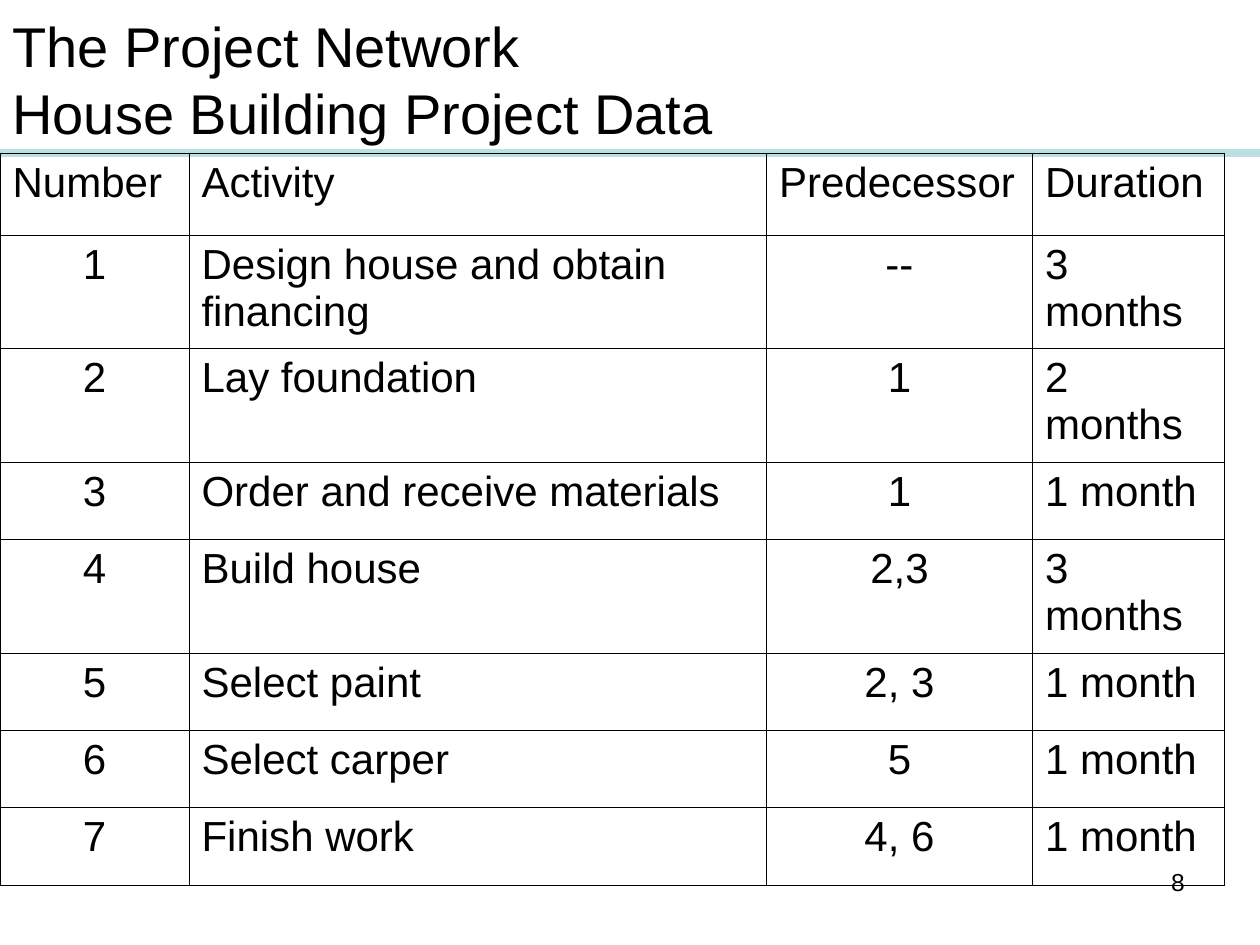
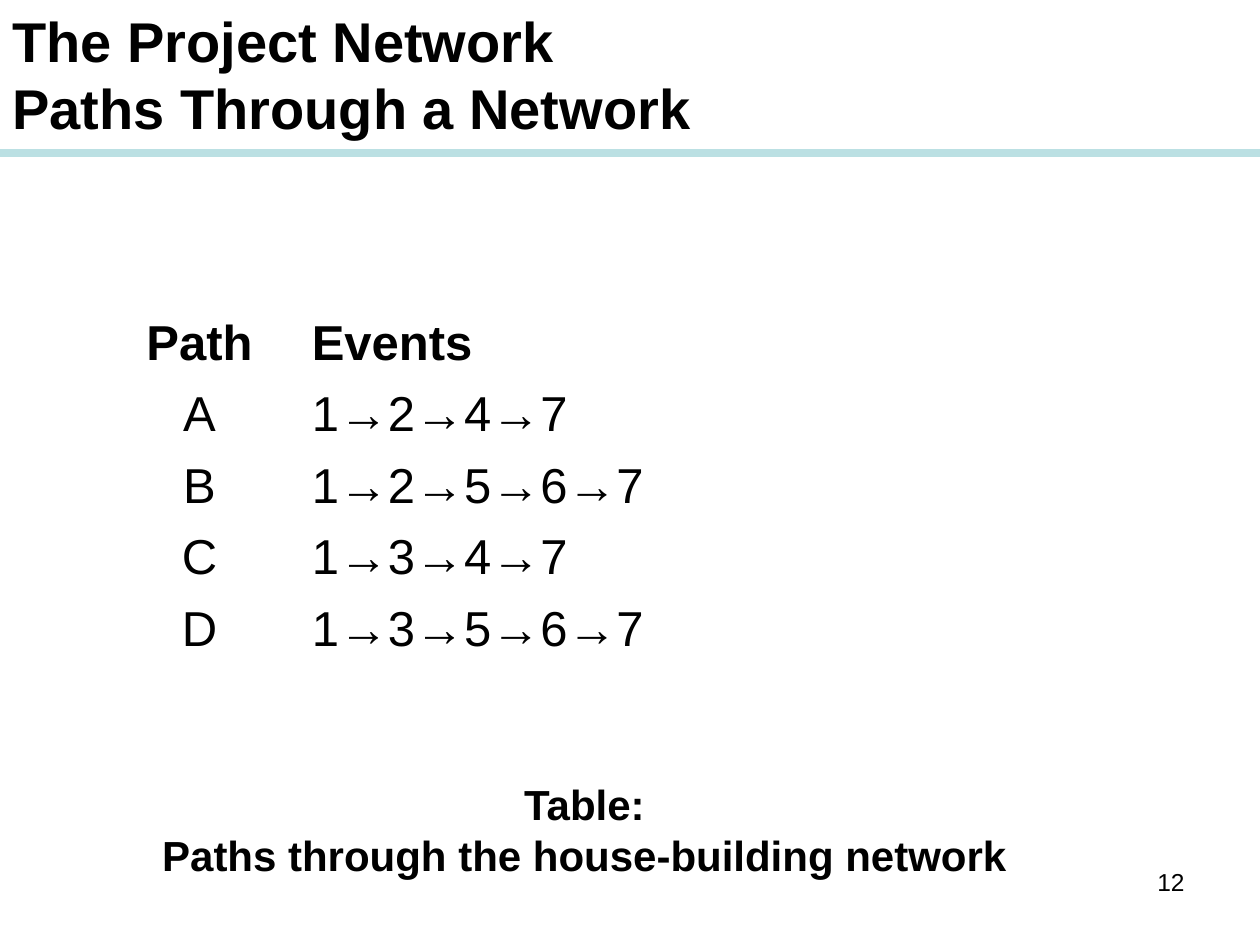
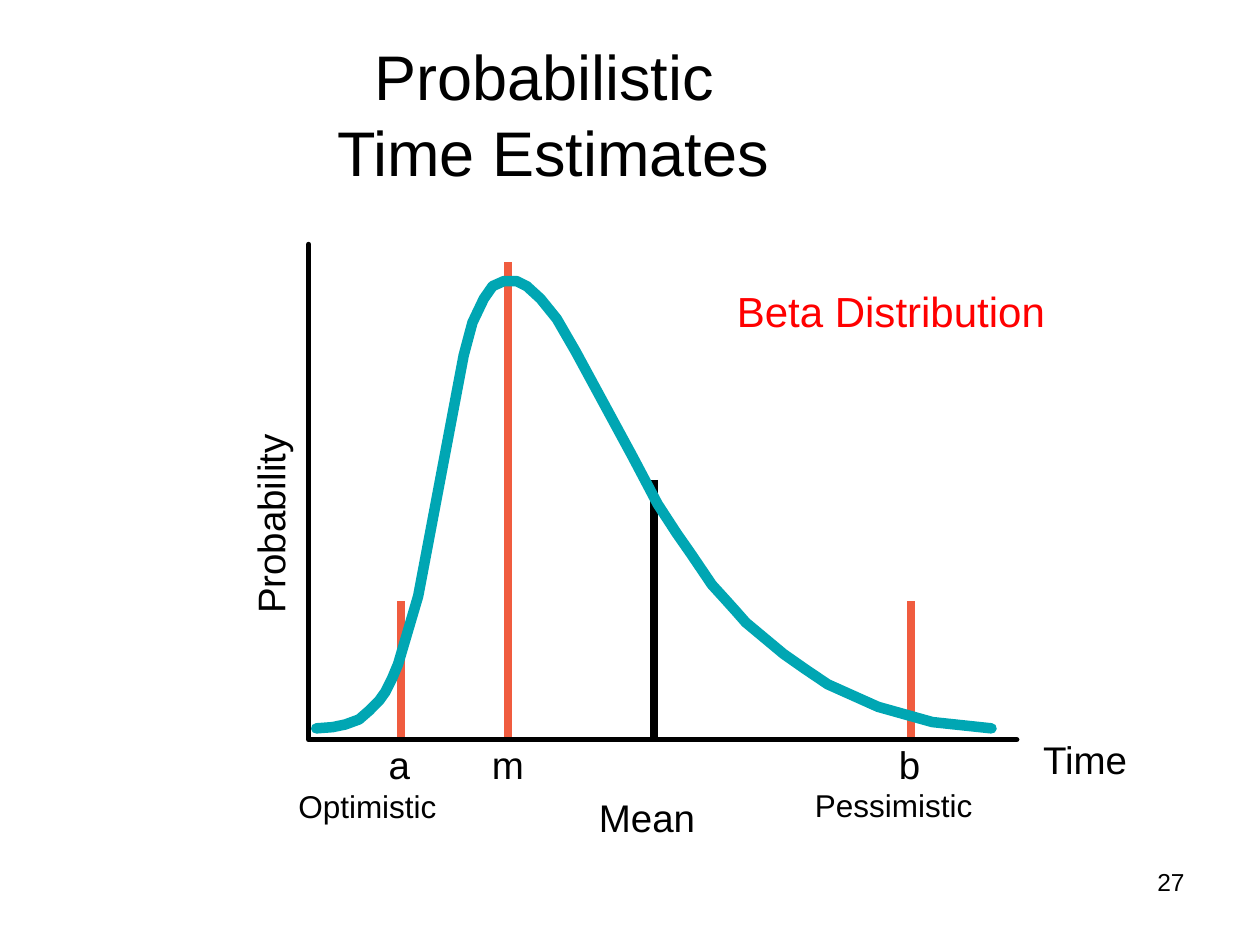
from pptx import Presentation
from pptx.dml.color import RGBColor
from pptx.enum import shapes, text
from pptx.oxml import ns
from pptx.util import Pt
from lxml import etree

FONT = "Arial"
BLACK, BAND, RED = "000000", "BBE0E3", "FF0000"
CURVE, ESTIMATE = "00A6B3", "F05C3F"
LEFT, CENTER, RIGHT = text.PP_ALIGN.LEFT, text.PP_ALIGN.CENTER, text.PP_ALIGN.RIGHT
SLIDE_W, SLIDE_H = 720, 540
BAND_Y = 87.5

ACTIVITIES = [
    ("Number", "Activity", "Predecessor", "Duration"),
    ("1", "Design house and obtain financing", "--", "3 months"),
    ("2", "Lay foundation", "1", "2 months"),
    ("3", "Order and receive materials", "1", "1 month"),
    ("4", "Build house", "2,3", "3 months"),
    ("5", "Select paint", "2, 3", "1 month"),
    ("6", "Select carper", "5", "1 month"),
    ("7", "Finish work", "4, 6", "1 month"),
]
PATHS = [
    ("Path", "Events"),
    ("A", "1→2→4→7"),
    ("B", "1→2→5→6→7"),
    ("C", "1→3→4→7"),
    ("D", "1→3→5→6→7"),
]
BETA_CURVE = [
    (4.3, 276.5), (13.7, 275.8), (20.9, 274.3), (28.8, 271.4), (34.6, 266.4),
    (40.3, 260.6), (43.9, 255.6), (47.5, 248.4), (51.1, 239.8), (62.6, 200.9),
    (88.6, 63.4), (93.6, 44.6), (100.1, 31), (105.1, 23.8), (111.6, 20.9),
    (118.8, 20.9), (124.6, 23.8), (132.5, 31), (141.8, 42.5), (152.6, 61.2),
    (185, 121), (199.4, 148.3), (210.2, 164.9), (218.2, 176.4), (224.6, 185.8),
    (230.4, 194.4), (237.6, 202.3), (244.1, 209.5), (249.8, 216), (271.4, 234),
    (283.7, 242.6), (296.6, 251.3), (325.4, 264.2), (356.4, 272.9), (390.2, 276.5),
]


def rgb(color):
    return RGBColor.from_string(color)


def format_text(frame, size, color=BLACK, bold=False, align=LEFT):
    for paragraph in frame.paragraphs:
        paragraph.alignment = align
        for run in paragraph.runs:
            run.font.name = FONT
            run.font.size = Pt(size)
            run.font.bold = bold
            run.font.color.rgb = rgb(color)


def add_label(slide, box, words, size, wrap=True, inset=(7.2, 3.6),
              anchor=text.MSO_ANCHOR.TOP, **style):
    label = slide.shapes.add_textbox(*map(Pt, box))
    frame = label.text_frame
    frame.text = words
    frame.word_wrap = wrap
    frame.vertical_anchor = anchor
    frame.margin_left = frame.margin_right = Pt(inset[0])
    frame.margin_top = frame.margin_bottom = Pt(inset[1])
    format_text(frame, size, **style)
    return label


def add_rule(slide, start, end, color, weight=4.5):
    """Draw a straight line without a shadow."""
    rule = slide.shapes.add_connector(
        shapes.MSO_CONNECTOR.STRAIGHT, *map(Pt, (*start, *end)))
    rule.line.color.rgb = rgb(color)
    rule.line.width = Pt(weight)
    etree.SubElement(rule._element.spPr, ns.qn("a:effectLst"))


def add_stroke(slide, origin, points, color, weight):
    """Draw an open outline with round ends; points are relative to origin."""
    vertices = [(Pt(origin[0] + x), Pt(origin[1] + y)) for x, y in points]
    builder = slide.shapes.build_freeform(*vertices[0])
    builder.add_line_segments(vertices[1:], close=False)
    stroke = builder.convert_to_shape()
    stroke.shadow.inherit = False
    stroke.fill.background()
    stroke.line.color.rgb = rgb(color)
    stroke.line.width = Pt(weight)
    stroke.line._get_or_add_ln().set("cap", "rnd")


def set_borders(cell, color, weight):
    """Set all four sides of a cell; no color means no border."""
    properties = cell._tc.get_or_add_tcPr()
    for side in ("a:lnL", "a:lnR", "a:lnT", "a:lnB"):
        border = etree.SubElement(properties, ns.qn(side), w=str(Pt(weight)))
        if color:
            fill = etree.SubElement(border, ns.qn("a:solidFill"))
            etree.SubElement(fill, ns.qn("a:srgbClr"), val=color)
        else:
            etree.SubElement(border, ns.qn("a:noFill"))


def add_grid(slide, left, top, rows, widths, heights, size,
             aligns, border=None, bold_header=False):
    """Add a plain table; aligns holds the alignments of header and body cells."""
    table = slide.shapes.add_table(
        len(rows), len(widths),
        *map(Pt, (left, top, sum(widths), sum(heights)))).table
    table.first_row = table.horz_banding = False
    for column, width in zip(table.columns, widths):
        column.width = Pt(width)
    for r, (row, height) in enumerate(zip(rows, heights)):
        table.rows[r].height = Pt(height)
        for c, words in enumerate(row):
            cell = table.cell(r, c)
            cell.text = words
            set_borders(cell, border, 0.45)
            cell.fill.background()
            format_text(cell.text_frame, size, bold=bold_header and r == 0,
                        align=aligns[min(r, 1)][c])


def add_page(deck, number):
    slide = deck.slides.add_slide(deck.slide_layouts[6])
    add_label(slide, (516, 492, 168, 37.4), str(number), 14, align=RIGHT)
    return slide


def add_banded_title(slide, box, words, **style):
    add_label(slide, box, words, 32, **style)
    add_rule(slide, (0, BAND_Y), (SLIDE_W, BAND_Y), BAND)


def project_data_slide(deck):
    slide = add_page(deck, 8)
    add_banded_title(slide, (0, 0, 648, 90),
                     "The Project Network\vHouse Building Project Data",
                     anchor=text.MSO_ANCHOR.MIDDLE)
    short, tall = 44.2, 64.9
    add_grid(slide, 0, BAND_Y, ACTIVITIES, (108, 330, 152, 109.7),
             (46.8, tall, tall, short, tall, short, short, short), 24,
             aligns=([LEFT] * 4, [CENTER, LEFT, CENTER, LEFT]), border=BLACK)


def paths_slide(deck):
    slide = add_page(deck, 12)
    add_banded_title(slide, (0, 0, 687, 79),
                     "The Project Network\nPaths Through a Network", bold=True)
    add_grid(slide, 57, 177, PATHS, (114, 366), [40.8] * len(PATHS), 28,
             aligns=[[CENTER, LEFT]] * 2, bold_header=True)
    add_label(slide, (78, 441.4, 512, 65),
              "Table:\nPaths through the house-building network", 24,
              bold=True, align=CENTER)


def add_beta_plot(slide, left, top, width, height):
    def place(x, y, w, h):
        return left + x, top + y, w, h

    axis_label = dict(size=22, wrap=False, inset=(11.5, 5.8))
    markers = [  # name, x, top of the line, label top, label width, color
        ("m", 113.8, 10.1, 278, 42, ESTIMATE),
        ("Mean", 197.3, 134.6, 308.2, 78.5, BLACK),
        ("a", 52.6, 203.8, 278, 35, ESTIMATE),
        ("b", 344.2, 203.8, 278, 35, ESTIMATE),
    ]
    label_shift = {"Mean": -4, "a": -1, "b": -1}
    for name, x, line_top, label_top, label_width, color in markers:
        add_rule(slide, (left + x, top + line_top), (left + x, top + height), color)
        label_x = x + label_shift.get(name, 0) - label_width / 2
        add_label(slide, place(label_x, label_top, label_width, 38.2), name,
                  align=CENTER, **axis_label)

    add_stroke(slide, (left, top), BETA_CURVE, CURVE, 6)
    add_stroke(slide, (left, top), [(0, 0), (0, height), (width, height)], BLACK, 3)

    add_label(slide, place(width + 3.6, 275, 72, 38.2), "Time", **axis_label)
    probability = add_label(slide, place(-87.3, 143.3, 130, 33.1),
                            "Probability", 22, align=CENTER)
    probability.rotation = 270
    add_label(slide, place(237.6, 20.2, 216, 36), "Beta Distribution", 24, color=RED)
    add_label(slide, place(282.2, 306, 121, 28.8), "Pessimistic", 18)
    add_label(slide, place(-13, 306.7, 96, 28.8), "Optimistic", 18)


def time_estimates_slide(deck):
    slide = add_page(deck, 27)
    add_label(slide, (54, 18, 524, 93.6), "Probabilistic \vTime Estimates", 36,
              align=CENTER)
    add_beta_plot(slide, 176.4, 139.7, 404.6, 283)


def main():
    deck = Presentation()
    deck.slide_width, deck.slide_height = Pt(SLIDE_W), Pt(SLIDE_H)
    project_data_slide(deck)
    paths_slide(deck)
    time_estimates_slide(deck)
    deck.save("out.pptx")


if __name__ == "__main__":
    main()
